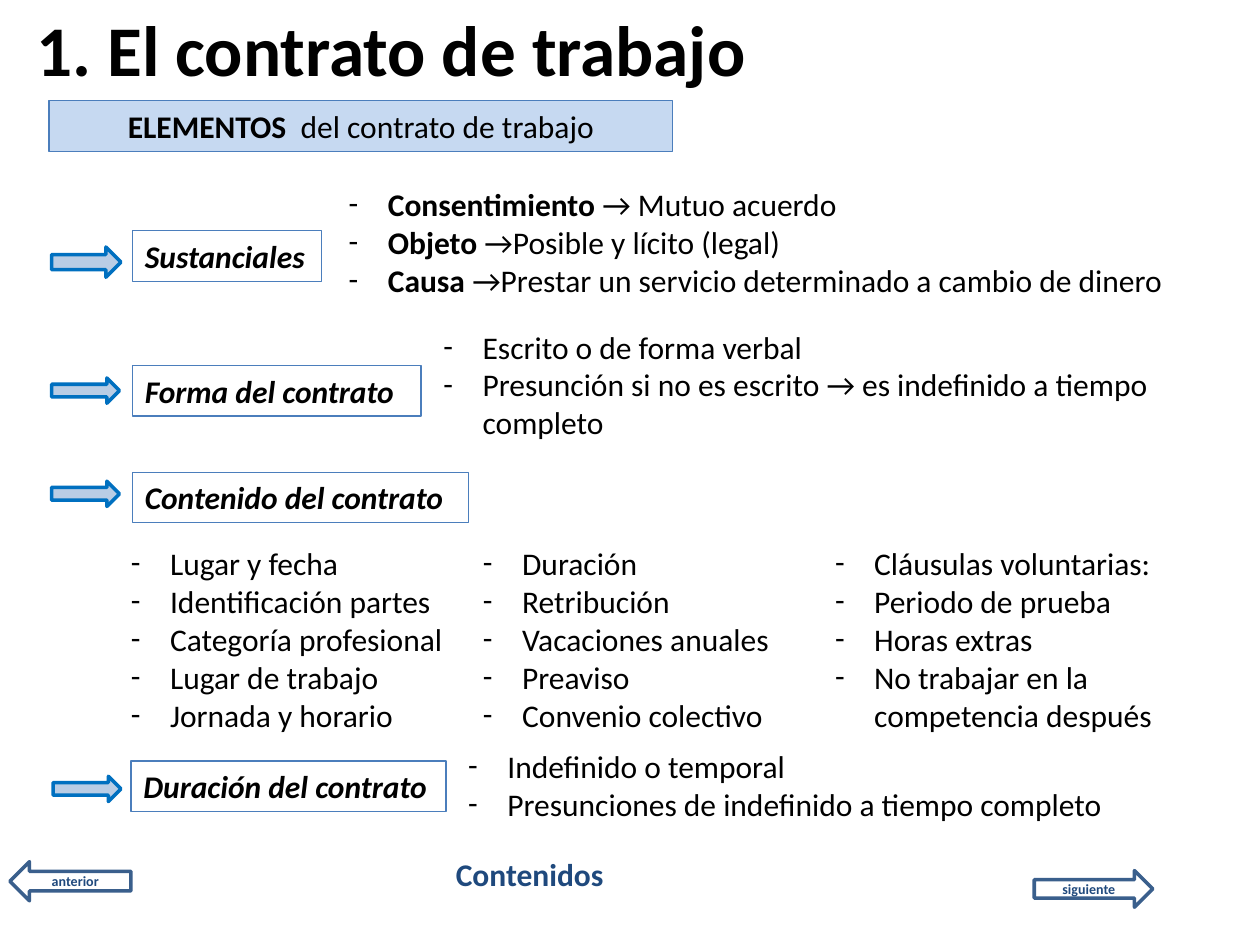
from lxml import etree
from pptx import Presentation
from pptx.dml.color import RGBColor
from pptx.enum.shapes import MSO_SHAPE
from pptx.enum.text import MSO_ANCHOR, PP_ALIGN
from pptx.oxml.ns import qn
from pptx.util import Cm, Pt

RECTANGLE = MSO_SHAPE.RECTANGLE
RIGHT_ARROW = MSO_SHAPE.RIGHT_ARROW
LEFT_ARROW = MSO_SHAPE.LEFT_ARROW
MIDDLE = MSO_ANCHOR.MIDDLE
TOP = MSO_ANCHOR.TOP
CENTER = PP_ALIGN.CENTER
LEFT = PP_ALIGN.LEFT

BLACK = RGBColor(0x00, 0x00, 0x00)
NAVY = RGBColor(0x1F, 0x49, 0x7D)
BANNER_BLUE = RGBColor(0xC6, 0xD9, 0xF1)
BOX_BORDER = RGBColor(0x4B, 0x7E, 0xBC)
ARROW_BLUE = RGBColor(0xB9, 0xCD, 0xE5)
ARROW_BORDER = RGBColor(0x00, 0x70, 0xC0)
NAV_BORDER = RGBColor(0x3A, 0x5F, 0x8C)

FONT = "Calibri"
BODY_SIZE = 18
NAV_SIZE = 8
LINE_HEIGHT = 1.02
HANGING = Cm(0.79)

ARROWS = [
    (1.04, 4.98, 1.4, 0.61),
    (1.04, 7.62, 1.37, 0.51),
    (1.04, 9.7, 1.37, 0.51),
    (1.07, 15.65, 1.37, 0.51),
]
LABELS = [
    ("Sustanciales", 2.67, 4.65, 3.81),
    ("Forma del contrato", 2.67, 7.37, 5.82),
    ("Contenido del contrato", 2.67, 9.52, 6.78),
    ("Duración del contrato", 2.64, 15.34, 6.35),
]
SUBSTANTIAL = [
    ("Consentimiento ", "→ Mutuo acuerdo"),
    ("Objeto", " →Posible y lícito (legal)"),
    ("Causa ", "→Prestar un servicio determinado a cambio de dinero"),
]
FORM = [
    ("", "Escrito o de forma verbal"),
    ("", "Presunción si no es escrito → es indefinido a tiempo completo"),
]
CONTENT = [("", entry) for entry in (
    "Lugar y fecha", "Identificación partes", "Categoría profesional",
    "Lugar de trabajo", "Jornada y horario",
    "Duración", "Retribución", "Vacaciones anuales", "Preaviso",
    "Convenio colectivo",
    "Cláusulas voluntarias:", "Periodo de prueba", "Horas extras",
    "No trabajar en la competencia después",
)]
DURATION = [
    ("", "Indefinido o temporal"),
    ("", "Presunciones de indefinido a tiempo completo"),
]


def format_run(run, size=BODY_SIZE, color=BLACK, bold=False, italic=False):
    run.font.name = FONT
    run.font.size = Pt(size)
    run.font.color.rgb = color
    run.font.bold = bold
    run.font.italic = italic


def write_lead_and_rest(paragraph, lead, rest):
    paragraph.text = lead or rest
    format_run(paragraph.runs[0], bold=bool(lead))
    if lead:
        run = paragraph.add_run()
        run.text = rest
        format_run(run)


def add_figure(slide, kind, place, border, border_width, fill=None):
    figure = slide.shapes.add_shape(kind, *map(Cm, place))
    figure.shadow.inherit = False
    figure.line.color.rgb = border
    figure.line.width = Pt(border_width)
    if fill is None:
        figure.fill.background()
    else:
        figure.fill.solid()
        figure.fill.fore_color.rgb = fill
    return figure


def add_banner(slide, lead, rest, place):
    banner = add_figure(slide, RECTANGLE, place, BOX_BORDER, 0.75, BANNER_BLUE)
    banner.text_frame.vertical_anchor = TOP
    paragraph = banner.text_frame.paragraphs[0]
    paragraph.alignment = CENTER
    write_lead_and_rest(paragraph, lead, rest)


def add_label(slide, text, left, top, width):
    label = add_figure(slide, RECTANGLE, (left, top, width, LINE_HEIGHT),
                       BOX_BORDER, 0.75)
    frame = label.text_frame
    frame.text = text
    frame.vertical_anchor = TOP
    frame.paragraphs[0].alignment = LEFT
    format_run(frame.paragraphs[0].runs[0], bold=True, italic=True)


def add_navigation(slide, kind, text, place):
    button = add_figure(slide, kind, place, NAV_BORDER, 2)
    frame = button.text_frame
    frame.text = text
    frame.word_wrap = False
    frame.margin_left = frame.margin_right = 0
    frame.margin_top = frame.margin_bottom = 0
    frame.vertical_anchor = MIDDLE
    frame.paragraphs[0].alignment = CENTER
    format_run(frame.paragraphs[0].runs[0], NAV_SIZE, NAVY, bold=True)


def add_heading(slide, text, place, size, color, anchor=TOP):
    frame = slide.shapes.add_textbox(*map(Cm, place)).text_frame
    frame.word_wrap = True
    frame.vertical_anchor = anchor
    frame.text = text
    format_run(frame.paragraphs[0].runs[0], size, color, bold=True)


def add_dash_list(slide, entries, place, columns=1):
    frame = slide.shapes.add_textbox(*map(Cm, place)).text_frame
    frame.word_wrap = True
    if columns > 1:
        frame._txBody.bodyPr.set("numCol", str(columns))
    for index, (lead, rest) in enumerate(entries):
        paragraph = frame.add_paragraph() if index else frame.paragraphs[0]
        write_lead_and_rest(paragraph, lead, rest)
        properties = paragraph._p.get_or_add_pPr()
        properties.set("marL", str(HANGING))
        properties.set("indent", str(-HANGING))
        etree.SubElement(properties, qn("a:buFont")).set("typeface", FONT)
        etree.SubElement(properties, qn("a:buChar")).set("char", "-")


def main():
    presentation = Presentation()
    presentation.slide_width = Cm(25.4)
    presentation.slide_height = Cm(19.05)
    slide = presentation.slides.add_slide(presentation.slide_layouts[6])

    add_heading(slide, "1. El contrato de trabajo", (0.48, 0, 22.86, 1.93),
                40.7, BLACK, MIDDLE)
    add_banner(slide, "ELEMENTOS  ", "del contrato de trabajo",
               (0.99, 2.03, 12.57, LINE_HEIGHT))
    for place in ARROWS:
        add_figure(slide, RIGHT_ARROW, place, ARROW_BORDER, 2, ARROW_BLUE)
    for label in LABELS:
        add_label(slide, *label)

    add_dash_list(slide, SUBSTANTIAL, (6.78, 3.61, 17.53, 2.57))
    add_dash_list(slide, FORM, (8.69, 6.48, 15.11, 2.57))
    add_dash_list(slide, CONTENT, (2.39, 10.85, 21.79, 4.15), columns=3)
    add_dash_list(slide, DURATION, (9.19, 14.94, 14.07, 1.8))

    add_navigation(slide, LEFT_ARROW, "anterior", (0.2, 17.37, 2.44, 0.79))
    add_heading(slide, "Contenidos", (8.94, 17.12, 3.66, LINE_HEIGHT),
                BODY_SIZE, NAVY)
    add_navigation(slide, RIGHT_ARROW, "siguiente", (20.85, 17.55, 2.39, 0.74))

    presentation.save("out.pptx")


if __name__ == "__main__":
    main()
